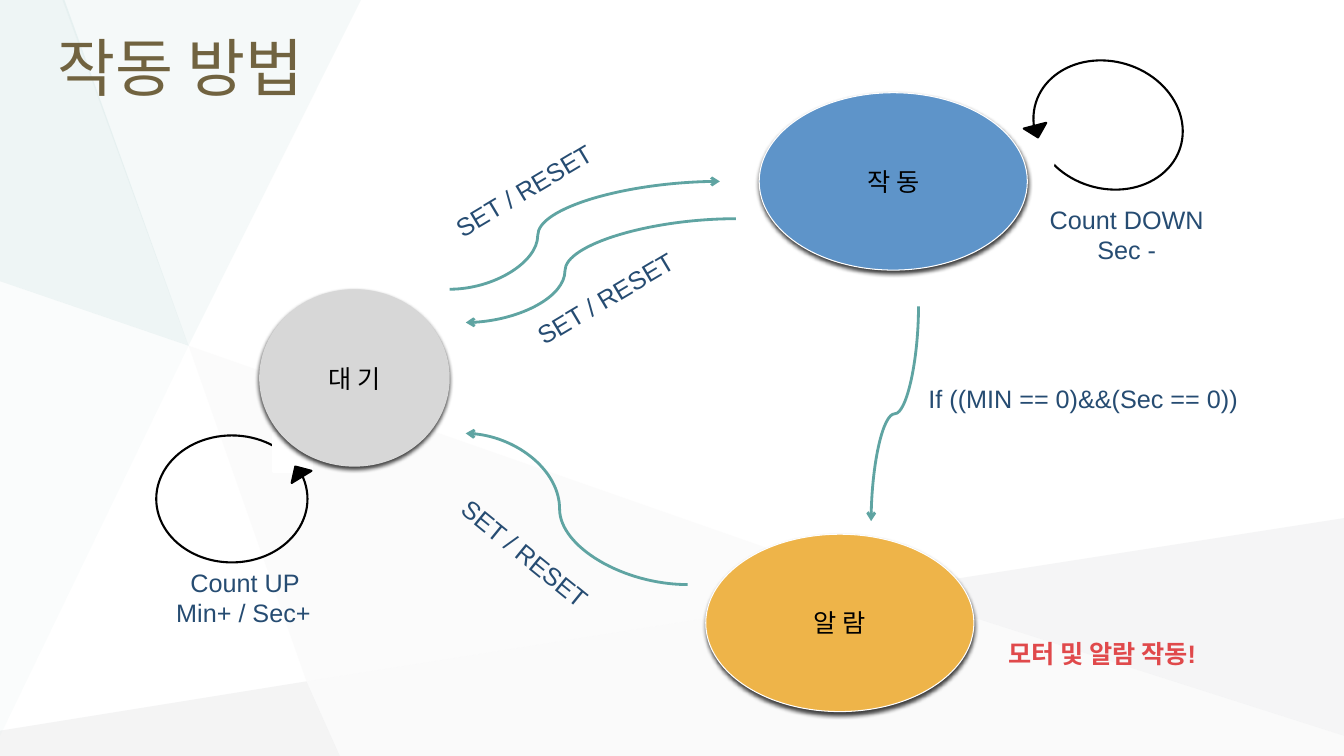
from math import cos, radians, sin

from lxml.etree import SubElement
from pptx import Presentation
from pptx.dml.color import RGBColor
from pptx.enum.shapes import MSO_CONNECTOR as Connector, MSO_SHAPE as Shape
from pptx.enum.text import MSO_ANCHOR as Anchor, PP_ALIGN as Align
from pptx.oxml.ns import qn
from pptx.util import Inches, Pt

WIDTH, HEIGHT = 13.33, 7.5
BLACK = RGBColor(0x00, 0x00, 0x00)
WHITE = RGBColor(0xFF, 0xFF, 0xFF)
BROWN = RGBColor(0x71, 0x63, 0x40)
NAVY = RGBColor(0x26, 0x4C, 0x72)
RED = RGBColor(0xE0, 0x49, 0x4B)
TEAL = RGBColor(0x5F, 0xA4, 0xA2)
BLUE = RGBColor(0x5E, 0x94, 0xC9)
AMBER = RGBColor(0xEE, 0xB4, 0x49)
GREY = RGBColor(0xD7, 0xD7, 0xD7)
PALE = RGBColor(0xF3, 0xF2, 0xF2)
STEEL = RGBColor(0xB6, 0xB8, 0xBA)
SILVER = RGBColor(0xC6, 0xC8, 0xCA)
MIST = RGBColor(0xE0, 0xED, 0xED)
MINT = RGBColor(0xC1, 0xDB, 0xDB)
LATIN, KOREAN = "Arial", "Noto Sans CJK KR"

HUB, FOLD, RIDGE = (1.87, 3.43), (3.04, 6.76), (8.79, 5.85)
FACETS = [
    (PALE, 26, [HUB, FOLD, RIDGE]),
    (STEEL, 15, [FOLD, (0, 7.25), (0, HEIGHT), (3.37, HEIGHT)]),
    (MIST, 31, [(3.58, 0), (0.62, 0), HUB]),
    (SILVER, 17, [(WIDTH, 5.14), RIDGE, (WIDTH, 7.3)]),
    (STEEL, 6, [RIDGE, FOLD, (3.37, HEIGHT), (WIDTH, HEIGHT), (WIDTH, 7.3)]),
    (MINT, 27, [(0.64, 0), (0, 0), (0, 2.79), HUB]),
    (MINT, 8, [(0, 2.79), (0, 7.3), HUB]),
]
FLOWS = [
    ((4.46, 2.87), (7.14, 1.8), 0.326),
    ((7.3, 2.17), (4.62, 3.2), 0.633),
    ((9.11, 3.04), (8.64, 5.17), 0.5),
    ((6.82, 5.8), (4.62, 4.3), 0.577),
]
RESET_LABELS = [(4.31, 1.6, 329.2), (5.12, 2.67, 329.2), (4.31, 5.4, 39.2)]


def inches(lengths):
    """Turn a sequence of inch values into lengths."""
    return [Inches(length) for length in lengths]


def style_text(para, font, size, color, bold=False):
    """Format every run of a paragraph."""
    for span in para.runs:
        span.font.name = font
        span.font.size = Pt(size)
        span.font.color.rgb = color
        span.font.bold = bold


def paint(shape, fill, line, weight=1.5):
    """Set fill and outline, where None means no paint."""
    shape.shadow.inherit = False
    if fill is None:
        shape.fill.background()
    else:
        shape.fill.solid()
        shape.fill.fore_color.rgb = fill
    if line is None:
        shape.line.fill.background()
    else:
        shape.line.color.rgb = line
        shape.line.width = Pt(weight)


def backdrop(page):
    """Draw the translucent facets behind the diagram."""
    for color, alpha, corners in FACETS:
        points = [inches(corner) for corner in corners]
        builder = page.shapes.build_freeform(*points[0])
        builder.add_line_segments(points[1:], close=True)
        facet = builder.convert_to_shape()
        paint(facet, color, None)
        tint = facet.fill._xPr.find(".//" + qn("a:srgbClr"))
        SubElement(tint, qn("a:alpha"), val=str(alpha * 1000))


def heading(page, box, text):
    """Place the title above the backdrop."""
    title = page.shapes.title
    title.element.getparent().append(title.element)
    title.left, title.top, title.width, title.height = inches(box)
    frame = title.text_frame
    frame.text = text
    frame.vertical_anchor = Anchor.MIDDLE
    frame.paragraphs[0].alignment = Align.LEFT
    style_text(frame.paragraphs[0], LATIN, 45, BROWN)


def state(page, box, text, fill, line=WHITE):
    """Draw one state as a shadowed ellipse."""
    oval = page.shapes.add_shape(Shape.OVAL, *inches(box))
    paint(oval, fill, line, 0.75)
    effects = oval.element.spPr.find(qn("a:effectLst"))
    shadow = SubElement(effects, qn("a:outerShdw"), blurRad=str(Pt(3)), dist=str(Pt(2)),
                        dir="5400000", rotWithShape="0")
    color = SubElement(shadow, qn("a:srgbClr"), val=str(BLACK))
    SubElement(color, qn("a:alpha"), val="75000")
    frame = oval.text_frame
    frame.margin_left = frame.margin_right = 0
    frame.margin_top = frame.margin_bottom = Inches(0.04)
    frame.vertical_anchor = Anchor.MIDDLE
    frame.text = text
    frame.paragraphs[0].alignment = Align.CENTER
    style_text(frame.paragraphs[0], KOREAN, 18, BLACK)


def self_loop(page, box, turn=0):
    """Draw a ring with a gap and an arrowhead, turned about its centre."""
    left, top, width, height = box
    middle_x, middle_y = left + width / 2, top + height / 2
    cosine, sine = cos(radians(turn)), sin(radians(turn))
    parts = [
        (Shape.OVAL, 0, 0, width, height, 0, None, BLACK),
        (Shape.RECTANGLE, 0.6, -0.46, 0.39, 0.38, 0, WHITE, WHITE),
        (Shape.ISOSCELES_TRIANGLE, 0.66, -0.27, 0.23, 0.12, 328.6, BLACK, BLACK),
    ]
    for kind, across, down, wide, high, tilt, fill, line in parts:
        x = middle_x + across * cosine - down * sine
        y = middle_y + across * sine + down * cosine
        part = page.shapes.add_shape(kind, *inches((x - wide / 2, y - high / 2, wide, high)))
        part.rotation = (turn + tilt) % 360
        paint(part, fill, line)


def flow(page, start, end, bend):
    """Draw a curved arrow, turned a quarter when it runs downward."""
    (x1, y1), (x2, y2) = start, end
    downward = abs(y2 - y1) > abs(x2 - x1)
    if downward:
        x, y = (x1 + x2) / 2, (y1 + y2) / 2
        along, aside = (y2 - y1) / 2, (x1 - x2) / 2
        x1, y1, x2, y2 = x - along, y - aside, x + along, y + aside
    arrow = page.shapes.add_connector(Connector.CURVE, *inches((x1, y1, x2, y2)))
    arrow.line.color.rgb = TEAL
    arrow.line.width = Pt(2)
    properties = arrow._element.spPr
    if downward:
        properties.find(qn("a:xfrm")).set("rot", "5400000")
    guides = properties.find(qn("a:prstGeom")).find(qn("a:avLst"))
    SubElement(guides, qn("a:gd"), name="adj1", fmla=f"val {round(bend * 100000)}")
    SubElement(properties.find(qn("a:ln")), qn("a:tailEnd"), type="arrow")
    SubElement(properties, qn("a:effectLst"))


def label(page, box, lines, turn=0, align=Align.LEFT, color=NAVY, bold=False, wrap=True):
    """Add a text label and return its paragraphs."""
    note = page.shapes.add_textbox(*inches(box))
    note.rotation = turn
    frame = note.text_frame
    frame.word_wrap = wrap
    frame.text = "\n".join(lines)
    for para in frame.paragraphs:
        para.alignment = align
        style_text(para, LATIN, 18, color, bold)
    return frame.paragraphs


def state_diagram(page):
    """Place the states, loops, arrows and labels."""
    state(page, (7, 5.3, 2.66, 1.76), "알 람", AMBER)
    self_loop(page, (1.55, 4.32, 1.5, 1.26))
    state(page, (2.57, 2.87, 1.89, 1.76), "대 기", GREY, None)
    self_loop(page, (10.24, 0.61, 1.5, 1.26), 197)
    state(page, (7.53, 0.92, 2.66, 1.76), "작 동", BLUE)
    for start, end, bend in FLOWS:
        flow(page, start, end, bend)
    for left, top, turn in RESET_LABELS:
        label(page, (left, top, 2.06, 0.4), ["SET / RESET"], turn)
    count_up = label(page, (1.65, 5.58, 1.54, 0.7), ["Count UP", "Min+ / Sec+"], wrap=False)
    count_up[0]._p.get_or_add_pPr().set("marL", str(Inches(0.14)))
    label(page, (10.24, 1.98, 1.87, 0.7), ["Count DOWN", "Sec -"], align=Align.CENTER, wrap=False)
    label(page, (9.11, 3.75, 3.31, 0.39), ["If ((MIN == 0)&&(Sec == 0))"])
    label(page, (9.9, 6.28, 2.68, 0.4), ["모터 및 알람 작동!"], color=RED, bold=True)


def main():
    """Build and save the deck."""
    deck = Presentation()
    deck.slide_width, deck.slide_height = inches((WIDTH, HEIGHT))
    page = deck.slides.add_slide(deck.slide_layouts[5])
    backdrop(page)
    heading(page, (0.47, 0.14, 12.36, 1.03), "작동 방법")
    state_diagram(page)
    deck.save("out.pptx")


if __name__ == "__main__":
    main()
